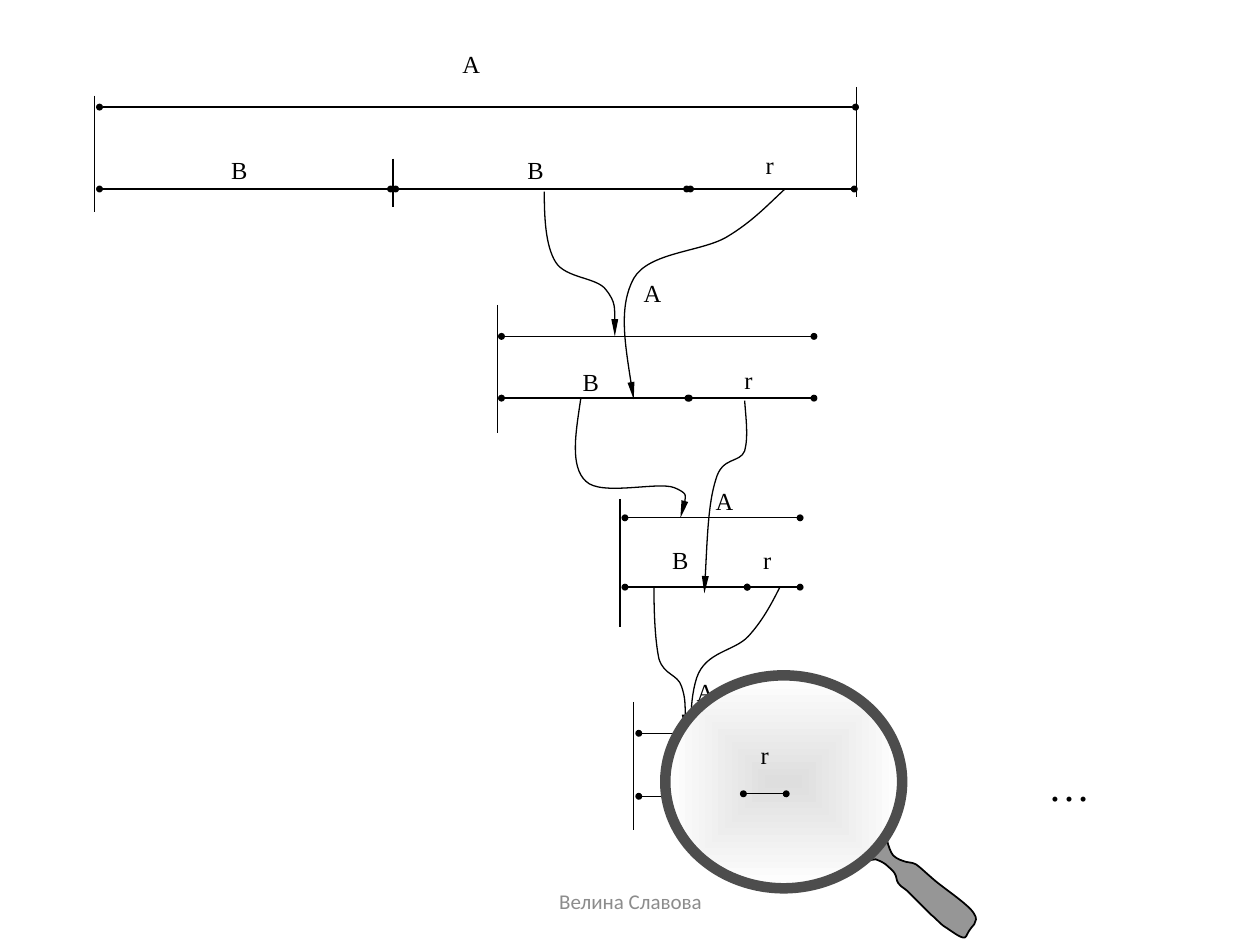
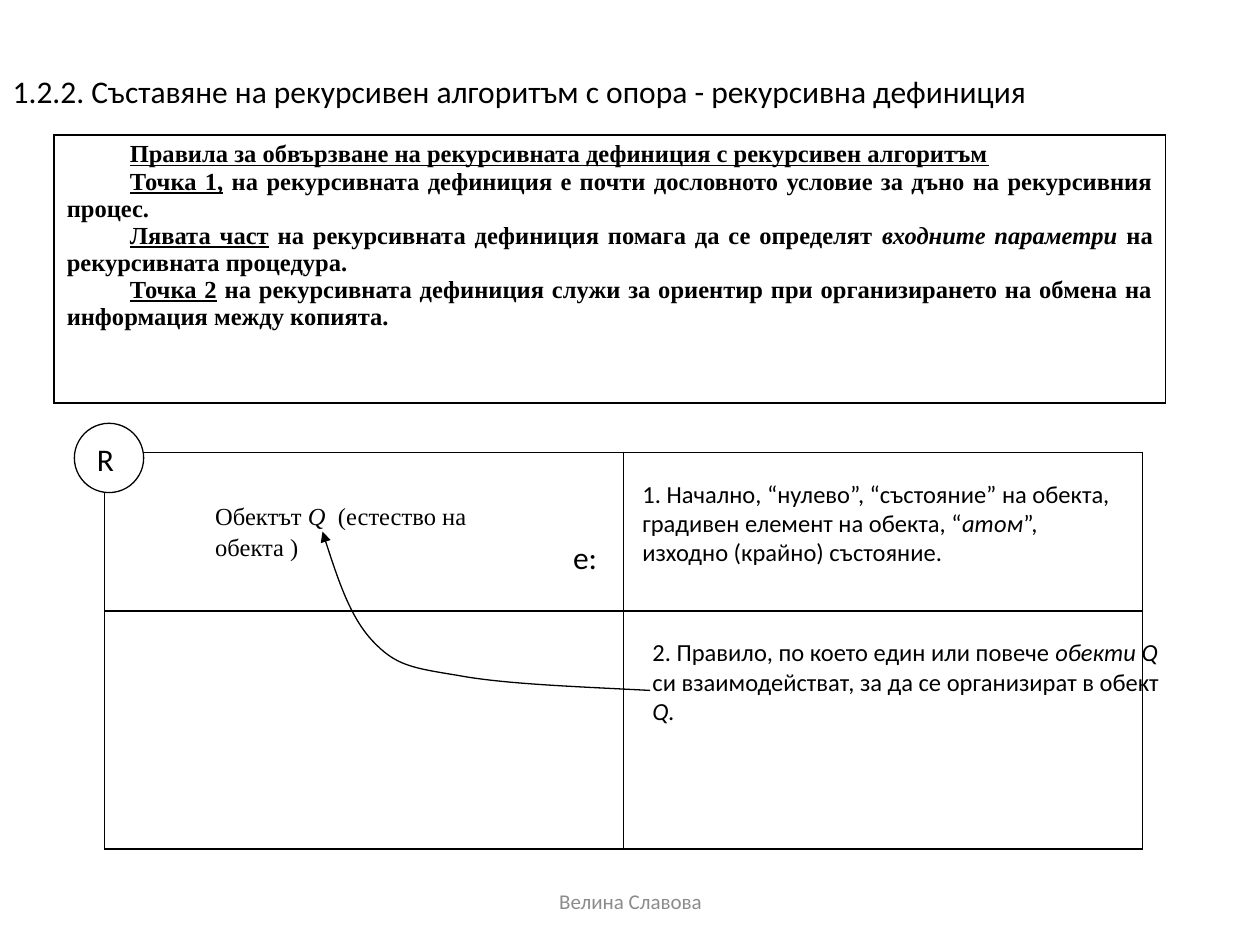
from lxml import etree
from pptx import Presentation
from pptx.dml.color import RGBColor
from pptx.enum.shapes import MSO_CONNECTOR, MSO_SHAPE
from pptx.enum.text import MSO_ANCHOR as Anchor, PP_ALIGN as Align
from pptx.oxml.ns import qn
from pptx.util import Inches, Pt

BLACK, WHITE = "000000", "FFFFFF"
FOOTER_GREY, HANDLE_GREY, RIM_GREY, GLASS_GREY = "8C8C8C", "969696", "4D4D4D", "DEDEDE"
SERIF, SANS = "Times New Roman", "Calibri"
THIN = 0.75
UNITS_PER_INCH = 100


def rgb(hex_color):
    return RGBColor.from_string(hex_color)


def add_child(parent, tag, **attributes):
    child = etree.SubElement(parent, qn(tag))
    for name, value in attributes.items():
        child.set(name, str(value))
    return child


def style_line(line, color=BLACK, width=THIN):
    line.color.rgb = rgb(color)
    line.width = Pt(width)


def write_runs(paragraph, runs, font_name, size, color=BLACK, align=Align.LEFT):
    paragraph.alignment = align
    for text, marks in runs:
        run = paragraph.add_run()
        run.text = text
        font = run.font
        font.name, font.size = font_name, Pt(size)
        font.color.rgb = rgb(color)
        font.bold = "b" in marks
        font.italic = "i" in marks
        font.underline = "u" in marks


def add_text(slide, box, runs, font_name=SANS, size=14, color=BLACK,
             align=Align.LEFT, anchor=Anchor.TOP, wrap=True):
    shape = slide.shapes.add_textbox(*map(Inches, box))
    frame = shape.text_frame
    frame.word_wrap = wrap
    frame.vertical_anchor = anchor
    write_runs(frame.paragraphs[0], runs, font_name, size, color, align)
    return shape


def add_label(slide, text, center, top):
    add_text(slide, (center - 0.3, top, 0.6, 0.32), [(text, "")], SERIF, align=Align.CENTER)


def add_footer(slide):
    add_text(slide, (3.42, 6.95, 3.17, 0.4), [("Велина Славова", "")], size=12,
             color=FOOTER_GREY, align=Align.CENTER, anchor=Anchor.MIDDLE)


def add_line(slide, start, end):
    ends = map(Inches, (*start, *end))
    connector = slide.shapes.add_connector(MSO_CONNECTOR.STRAIGHT, *ends)
    style_line(connector.line)
    add_child(connector._element.spPr, "a:effectLst")
    return connector


def add_segment(slide, left, right, y):
    connector = add_line(slide, (left, y), (right, y))
    outline = connector.line._get_or_add_ln()
    for tag in ("a:headEnd", "a:tailEnd"):
        add_child(outline, tag, type="oval", w="sm", len="sm")


def add_boundary(slide, x, top, bottom):
    add_line(slide, (x, top), (x, bottom))


def add_curve(slide, points, close=False):
    units = [(round(x * UNITS_PER_INCH), round(y * UNITS_PER_INCH)) for x, y in points]
    builder = slide.shapes.build_freeform(*units[0], scale=Inches(1) / UNITS_PER_INCH)
    builder.add_line_segments(units[1:], close=close)
    shape = builder.convert_to_shape()
    for index, step in enumerate(list(shape._element.iter(qn("a:lnTo")))):
        if index % 3 == 0:
            curve = etree.Element(qn("a:cubicBezTo"))
            step.addprevious(curve)
        curve.append(step[0])
        step.getparent().remove(step)
    shape.shadow.inherit = False
    shape.fill.background()
    style_line(shape.line)
    return shape


def add_arrow(slide, points, width="med", length="med"):
    shape = add_curve(slide, points)
    add_child(shape.line._get_or_add_ln(), "a:tailEnd", type="triangle", w=width, len=length)


def add_preset(slide, kind, box, fill):
    shape = slide.shapes.add_shape(kind, *map(Inches, box))
    shape.shadow.inherit = False
    shape.fill.solid()
    shape.fill.fore_color.rgb = rgb(fill)
    shape.line.fill.background()
    shape.text_frame.vertical_anchor = Anchor.TOP
    return shape


def add_magnifier(slide):
    handle = add_curve(slide, [
        (7.06, 6.57), (7.06, 6.57), (7.04, 6.63), (7.04, 6.67),
        (7.05, 6.71), (7.07, 6.77), (7.09, 6.79), (7.12, 6.82), (7.16, 6.83), (7.19, 6.84),
        (7.22, 6.85), (7.23, 6.84), (7.27, 6.86), (7.3, 6.88), (7.34, 6.92), (7.41, 6.98),
        (7.49, 7.05), (7.69, 7.18), (7.73, 7.25), (7.78, 7.32), (7.7, 7.36), (7.69, 7.39),
        (7.67, 7.42), (7.67, 7.45), (7.64, 7.44), (7.6, 7.43), (7.54, 7.38), (7.49, 7.35),
        (7.45, 7.32), (7.44, 7.3), (7.39, 7.26), (7.34, 7.21), (7.24, 7.11), (7.2, 7.07),
        (7.15, 7.03), (7.14, 7.03), (7.13, 7.01), (7.11, 6.98), (7.12, 6.96), (7.1, 6.93),
        (7.09, 6.91), (7.05, 6.88), (7.03, 6.86), (7, 6.84), (6.98, 6.83), (6.95, 6.82),
        (6.92, 6.82), (6.84, 6.85), (6.84, 6.84), (6.84, 6.83), (6.9, 6.82), (6.93, 6.79),
        (6.96, 6.77), (7, 6.72), (7.02, 6.69), (7.04, 6.65), (7.06, 6.57), (7.06, 6.57),
    ], close=True)
    handle.fill.solid()
    handle.fill.fore_color.rgb = rgb(HANDLE_GREY)
    style_line(handle.line, width=1)

    glass = add_preset(slide, MSO_SHAPE.OVAL, (5.28, 5.36, 1.88, 1.69), WHITE)
    style_line(glass.line, RIM_GREY, 6)
    gradient = etree.Element(qn("a:gradFill"), rotWithShape="1")
    stops = add_child(gradient, "a:gsLst")
    for position, color in ((0, GLASS_GREY), (100000, WHITE)):
        add_child(add_child(stops, "a:gs", pos=position), "a:srgbClr", val=color)
    shading = add_child(gradient, "a:path", path="shape")
    add_child(shading, "a:fillToRect", l=50000, t=50000, r=50000, b=50000)
    properties = glass._element.spPr
    properties.replace(properties.find(qn("a:solidFill")), gradient)


def add_grid(slide, left, top, widths, heights):
    box = map(Inches, (left, top, sum(widths), sum(heights)))
    table = slide.shapes.add_table(len(heights), len(widths), *box).table
    table.first_row = table.horz_banding = False
    for column, width in zip(table.columns, widths):
        column.width = Inches(width)
    for row, height in zip(table.rows, heights):
        row.height = Inches(height)
    for cell in table.iter_cells():
        properties = cell._tc.get_or_add_tcPr()
        for side in ("a:lnL", "a:lnR", "a:lnT", "a:lnB"):
            border = add_child(properties, side, w=Pt(1))
            add_child(add_child(border, "a:solidFill"), "a:srgbClr", val=BLACK)
        cell.fill.background()
    return table


def build_segments_slide(presentation):
    slide = presentation.slides.add_slide(presentation.slide_layouts[6])
    segments = [
        (0.79, 6.79, 0.85), (0.79, 3.1, 1.5), (3.14, 5.45, 1.5), (5.48, 6.78, 1.5),
        (3.98, 6.46, 2.67), (3.98, 5.46, 3.16), (5.47, 6.46, 3.16),
        (4.96, 6.35, 4.11), (4.96, 5.93, 4.66), (5.93, 6.35, 4.66),
        (5.07, 6.18, 5.82), (5.07, 5.61, 6.32),
    ]
    boundaries = [
        (0.75, 0.76, 1.68), (6.8, 0.69, 1.56), (3.12, 1.26, 1.64),
        (3.95, 2.42, 3.44), (4.92, 3.96, 4.98), (5.03, 5.57, 6.59),
    ]
    labels = [
        ("А", 3.74, 0.34), ("В", 1.9, 1.18), ("В", 4.25, 1.18), ("r", 6.11, 1.14),
        ("A", 5.18, 2.16), ("B", 4.69, 2.86), ("r", 5.94, 2.85),
        ("A", 5.75, 3.81), ("B", 5.4, 4.28), ("r", 6.09, 4.28), ("A", 5.6, 5.32),
    ]
    arrows = [
        [(4.32, 1.52), (4.32, 1.73), (4.33, 1.95), (4.41, 2.08), (4.49, 2.21),
         (4.74, 2.2), (4.81, 2.3), (4.89, 2.4), (4.88, 2.53), (4.88, 2.67)],
        [(6.23, 1.5), (6.09, 1.63), (5.97, 1.76), (5.77, 1.88), (5.57, 2),
         (5.15, 2), (5.03, 2.21), (4.91, 2.43), (4.97, 2.8), (5.03, 3.17)],
        [(4.61, 3.16), (4.57, 3.43), (4.52, 3.7), (4.65, 3.82), (4.77, 3.94),
         (5.22, 3.82), (5.35, 3.87), (5.47, 3.92), (5.44, 4.02), (5.4, 4.11)],
        [(5.91, 3.18), (5.92, 3.32), (5.94, 3.47), (5.91, 3.58), (5.87, 3.68),
         (5.73, 3.62), (5.68, 3.81), (5.62, 4), (5.61, 4.36), (5.59, 4.71)],
        [(5.19, 4.66), (5.19, 4.88), (5.2, 5.09), (5.23, 5.23), (5.27, 5.36),
         (5.38, 5.35), (5.41, 5.45), (5.44, 5.54), (5.44, 5.68), (5.44, 5.81)],
        [(6.19, 4.66), (6.12, 4.8), (6.05, 4.93), (5.94, 5.05), (5.83, 5.17),
         (5.6, 5.17), (5.53, 5.38), (5.46, 5.6), (5.49, 5.97), (5.53, 6.34)],
    ]
    for segment in segments:
        add_segment(slide, *segment)
    for boundary in boundaries:
        add_boundary(slide, *boundary)
    for label in labels:
        add_label(slide, *label)
    for points in arrows:
        add_arrow(slide, points, "sm", "lg")
    ellipsis = add_preset(slide, MSO_SHAPE.RECTANGLE, (8.22, 5.98, 0.99, 0.64), WHITE)
    write_runs(ellipsis.text_frame.paragraphs[0], [("…", "")], SERIF, 24, align=Align.JUSTIFY)
    add_magnifier(slide)
    add_segment(slide, 5.9, 6.24, 6.3)
    add_label(slide, "r", 6.07, 5.82)
    add_footer(slide)


def add_title(slide, text):
    title = slide.shapes.title
    title.left, title.top, title.width, title.height = map(Inches, (0, 0.52, 9.6, 0.4))
    frame = title.text_frame
    frame.word_wrap = False
    frame.vertical_anchor = Anchor.MIDDLE
    write_runs(frame.paragraphs[0], [(text, "")], SANS, 18, align=Align.JUSTIFY)


def add_rules(slide, rules):
    frame = add_grid(slide, 0.43, 1.07, [8.82], [2.13]).cell(0, 0).text_frame
    for index, runs in enumerate(rules):
        paragraph = frame.add_paragraph() if index else frame.paragraphs[0]
        properties = paragraph._p.get_or_add_pPr()
        properties.set("marL", "0")
        properties.set("indent", str(Inches(0.5)))
        write_runs(paragraph, runs, SERIF, 14, align=Align.JUSTIFY)


def build_definition_slide(presentation):
    slide = presentation.slides.add_slide(presentation.slide_layouts[5])
    add_title(slide, "1.2.2. Съставяне на рекурсивен алгоритъм с опора - рекурсивна дефиниция")
    add_rules(slide, [
        [("Правила за обвързване на рекурсивната дефиниция с рекурсивен алгоритъм", "bu")],
        [("Точка 1,", "bu"),
         (" на рекурсивната дефиниция е почти дословното условие за дъно на "
          "рекурсивния процес.", "b")],
        [("Лявата част", "bu"),
         (" на рекурсивната дефиниция помага да се определят ", "b"),
         ("входните параметри ", "bi"), ("на рекурсивната процедура.", "b")],
        [("Точка 2", "bu"),
         (" на рекурсивната дефиниция служи за ориентир при организирането на обмена "
          "на информация между копията.", "b")],
    ])
    add_grid(slide, 0.83, 3.59, [4.12, 4.12], [1.26, 1.89])
    add_arrow(slide, [
        (5.16, 5.48), (4.58, 5.45), (4, 5.43), (3.63, 5.36), (3.26, 5.3),
        (3.14, 5.28), (2.96, 5.09), (2.78, 4.9), (2.67, 4.56), (2.56, 4.22),
    ])
    subject = add_text(slide, (1.61, 3.91, 2.4, 0.63),
                       [("Обектът ", ""), ("Q  ", "i"), ("(естество на обекта )", "")], SERIF)
    subject.text_frame.paragraphs[0].line_spacing = 1.06
    add_text(slide, (4.45, 4.22, 0.42, 0.4), [("e:", "")], size=18, wrap=False)
    badge = add_preset(slide, MSO_SHAPE.OVAL, (0.59, 3.36, 0.55, 0.55), WHITE)
    style_line(badge.line)
    write_runs(badge.text_frame.paragraphs[0], [("R", "")], SANS, 18)
    add_text(slide, (5, 3.75, 4.02, 0.8), [
        ("1. Начално, “нулево”, “състояние” на обекта, градивен елемент на обекта, “", ""),
        ("атом", "i"), ("”, изходно (крайно) състояние.", "")])
    add_text(slide, (5.08, 5.01, 4.41, 0.8), [
        ("2. Правило, по което един или повече ", ""), ("oбекти Q", "i"),
        (" си взаимодействат, за да се организират в обект ", ""), ("Q.", "i")])
    add_footer(slide)


def main():
    presentation = Presentation()
    presentation.slide_width, presentation.slide_height = Inches(10), Inches(7.5)
    build_segments_slide(presentation)
    build_definition_slide(presentation)
    presentation.save("out.pptx")


if __name__ == "__main__":
    main()
